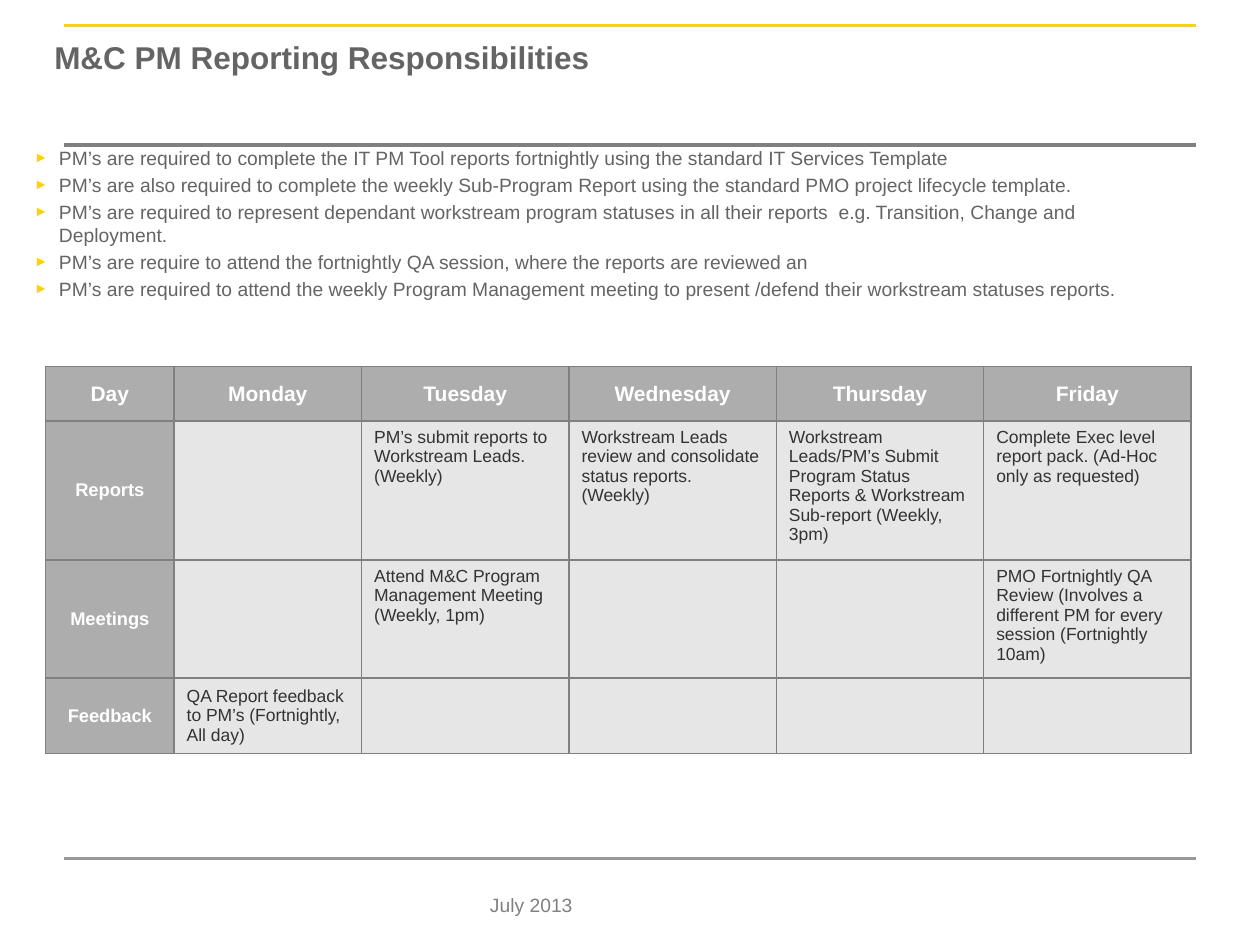
from lxml.etree import SubElement
from pptx import Presentation
from pptx.dml.color import RGBColor
from pptx.enum.shapes import MSO_CONNECTOR, MSO_SHAPE
from pptx.enum.text import MSO_ANCHOR, MSO_AUTO_SIZE, PP_ALIGN
from pptx.oxml.ns import qn
from pptx.util import Cm, Pt

COLORS = {
    "yellow": "FFD200",
    "text": "646464",
    "rule": "808080",
    "footer_rule": "999999",
    "heading": "ADADAD",
    "body": "E6E6E6",
    "body_text": "333333",
    "white": "FFFFFF",
}
FONT = "Arial"

BULLETS = [
    "PM’s are required to complete the IT PM Tool reports fortnightly using the standard IT Services Template",
    "PM’s are also required to complete the weekly Sub-Program Report using the standard PMO project lifecycle template.",
    "PM’s are required to represent dependant workstream program statuses in all their reports  e.g. Transition, Change and Deployment.",
    "PM’s are require to attend the fortnightly QA session, where the reports are reviewed an",
    "PM’s are required to attend the weekly Program Management meeting to present /defend their workstream statuses reports.",
]
SCHEDULE = [
    ["Day", "Monday", "Tuesday", "Wednesday", "Thursday", "Friday"],
    ["Reports", "", "PM’s submit reports to Workstream Leads. (Weekly)",
     "Workstream Leads review and consolidate status reports. (Weekly)",
     "Workstream Leads/PM’s Submit Program Status Reports & Workstream Sub-report (Weekly, 3pm)",
     "Complete Exec level report pack. (Ad-Hoc only as requested)"],
    ["Meetings", "", "Attend M&C Program Management Meeting (Weekly, 1pm)", "", "",
     "PMO Fortnightly QA Review (Involves a different PM for every session (Fortnightly 10am)"],
    ["Feedback", "QA Report feedback to PM’s (Fortnightly, All day)", "", "", "", ""],
]
COLUMN_WIDTHS = [2.59, 3.78] + [4.18] * 4
ROW_HEIGHTS = [1.1, 2.8, 2.37, 1.52]


def color(name):
    return RGBColor.from_string(COLORS[name])


def add_run(paragraph, text, size, color_name, bold=False):
    run = paragraph.add_run()
    run.text = text
    run.font.name = FONT
    run.font.size = Pt(size)
    run.font.bold = bold
    run.font.color.rgb = color(color_name)


def add_rule(slide, left, top, width, color_name, weight):
    rule = slide.shapes.add_connector(
        MSO_CONNECTOR.STRAIGHT, Cm(left), Cm(top), Cm(left + width), Cm(top))
    rule.line.color.rgb = color(color_name)
    rule.line.width = Pt(weight)
    SubElement(rule._element.spPr, qn("a:effectLst"))


def place_title(slide, left, top, width, height):
    title = slide.shapes.title
    title.left, title.top, title.width, title.height = map(Cm, (left, top, width, height))
    frame = title.text_frame
    frame.word_wrap = True
    frame.auto_size = MSO_AUTO_SIZE.NONE
    frame.vertical_anchor = MSO_ANCHOR.TOP
    paragraph = frame.paragraphs[0]
    paragraph.alignment = PP_ALIGN.LEFT
    add_run(paragraph, "M&C PM Reporting Responsibilities", 18, "text", True)


def add_bullet(paragraph):
    properties = paragraph._p.get_or_add_pPr()
    properties.set("marL", str(Cm(0.74)))
    properties.set("indent", str(Cm(-0.5)))
    bullet_color = SubElement(properties, qn("a:buClr"))
    SubElement(bullet_color, qn("a:srgbClr"), val=COLORS["yellow"])
    SubElement(properties, qn("a:buSzPct"), val="75000")
    SubElement(properties, qn("a:buFont"), typeface=FONT)
    SubElement(properties, qn("a:buChar"), char="►")


def add_responsibilities(slide, left, top, width, height):
    box = slide.shapes.add_textbox(Cm(left), Cm(top), Cm(width), Cm(height))
    frame = box.text_frame
    frame.word_wrap = True
    for index, text in enumerate(BULLETS):
        paragraph = frame.add_paragraph() if index else frame.paragraphs[0]
        add_bullet(paragraph)
        if index:
            paragraph.space_before = Pt(2.2)
        add_run(paragraph, text, 11, "text")


def add_borders(cell, weights):
    properties = cell._tc.get_or_add_tcPr()
    for side, weight in weights.items():
        border = SubElement(properties, qn(f"a:ln{side}"), w=str(Pt(weight)))
        fill = SubElement(border, qn("a:solidFill"))
        SubElement(fill, qn("a:srgbClr"), val=COLORS["rule"])


def fill_cell(cell, text, row, column):
    is_heading = row == 0 or column == 0
    add_borders(cell, {"L": 1, "R": 1, "T": 1.5 if row == 1 else 1, "B": 1.5 if row == 0 else 1})
    cell.fill.solid()
    cell.fill.fore_color.rgb = color("heading" if is_heading else "body")
    is_centred = is_heading or row == len(SCHEDULE) - 1
    cell.vertical_anchor = MSO_ANCHOR.MIDDLE if is_centred else MSO_ANCHOR.TOP
    if not text:
        return
    paragraph = cell.text_frame.paragraphs[0]
    if is_heading:
        paragraph.alignment = PP_ALIGN.CENTER
        add_run(paragraph, text, 12 if row == 0 else 10.5, "white", True)
    else:
        add_run(paragraph, text, 10, "body_text")


def add_schedule(slide, left, top):
    table = slide.shapes.add_table(
        len(SCHEDULE), len(COLUMN_WIDTHS), Cm(left), Cm(top),
        Cm(sum(COLUMN_WIDTHS)), Cm(sum(ROW_HEIGHTS))).table
    table.horz_banding = False
    for column, width in zip(table.columns, COLUMN_WIDTHS):
        column.width = Cm(width)
    for row, height in zip(table.rows, ROW_HEIGHTS):
        row.height = Cm(height)
    for row, texts in enumerate(SCHEDULE):
        for column, text in enumerate(texts):
            fill_cell(table.cell(row, column), text, row, column)


def add_date(slide, left, top, width, height):
    shape = slide.shapes.add_shape(
        MSO_SHAPE.RECTANGLE, Cm(left), Cm(top), Cm(width), Cm(height))
    shape.shadow.inherit = False
    shape.fill.solid()
    shape.fill.fore_color.rgb = color("white")
    shape.line.fill.background()
    frame = shape.text_frame
    frame.vertical_anchor = MSO_ANCHOR.MIDDLE
    paragraph = frame.paragraphs[0]
    paragraph.alignment = PP_ALIGN.CENTER
    add_run(paragraph, "July 2013", 11, "rule")


def main():
    presentation = Presentation()
    presentation.slide_width = Cm(25.4)
    presentation.slide_height = Cm(19.05)
    slide = presentation.slides.add_slide(presentation.slide_layouts[5])
    add_rule(slide, 1.3, 17.3, 22.8, "footer_rule", 1.5)
    add_rule(slide, 1.3, 0.51, 22.8, "yellow", 1.5)
    add_rule(slide, 1.3, 2.92, 22.8, "rule", 2)
    add_responsibilities(slide, 0.2, 2.82, 23.7, 4.57)
    place_title(slide, 0.84, 0.64, 23.7, 1.02)
    add_date(slide, 8.31, 17.93, 4.8, 0.61)
    add_schedule(slide, 0.92, 7.39)
    presentation.save("out.pptx")


if __name__ == "__main__":
    main()
